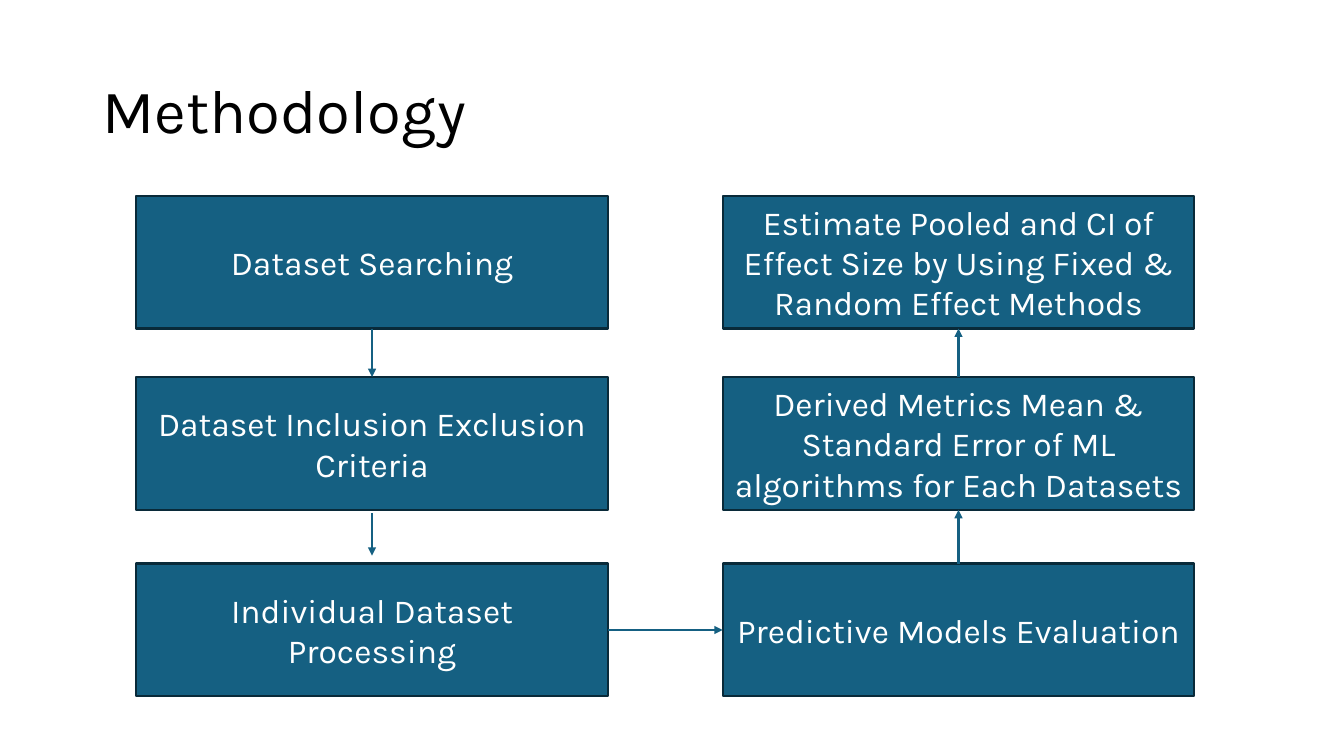
from lxml import etree
from pptx import Presentation
from pptx.dml.color import RGBColor
from pptx.enum import shapes, text
from pptx.oxml.ns import qn
from pptx.util import Cm, Pt

TITLE = "Methodology"
COLUMNS = [
    ["Dataset Searching",
     "Dataset Inclusion Exclusion Criteria",
     "Individual Dataset Processing"],
    ["Estimate Pooled and CI of Effect Size by Using Fixed & Random Effect Methods",
     "Derived Metrics Mean & Standard Error of ML algorithms for Each Datasets",
     "Predictive Models Evaluation"],
]
TOP, LEFT, BOTTOM, RIGHT = range(4)
# Each joined arrow: (column, row), side -> (column, row), side
JOINED_ARROWS = [
    ((0, 0), BOTTOM, (0, 1), TOP),
    ((0, 2), RIGHT, (1, 2), LEFT),
    ((1, 2), TOP, (1, 1), BOTTOM),
    ((1, 1), TOP, (1, 0), BOTTOM),
]
COLORS = {"step": "156082", "border": "092A39", "title": "000000", "label": "FFFFFF"}
FONT = "Karla"
COLUMN_LEFTS = [Cm(3.43), Cm(18.21)]
ROW_TOPS = [Cm(4.93), Cm(9.5), Cm(14.2)]
STEP_WIDTH, STEP_HEIGHT = Cm(11.89), Cm(3.35)
LOOSE_ARROW_Y = Cm(12.93), Cm(14)
LINE_WIDTH = Pt(1.5)


def color(name):
    return RGBColor.from_string(COLORS[name])


def write(shape, words, *, size, fill, align, spacing=1.0):
    frame = shape.text_frame
    frame.word_wrap = True
    frame.vertical_anchor = text.MSO_ANCHOR.MIDDLE
    para = frame.paragraphs[0]
    para.alignment = align
    para.line_spacing = spacing
    span = para.add_run()
    span.text = words
    span.font.name = FONT
    span.font.size = Pt(size)
    span.font.color.rgb = color(fill)


def add_step(page, words, left, top):
    box = page.shapes.add_shape(shapes.MSO_SHAPE.RECTANGLE, left, top, STEP_WIDTH, STEP_HEIGHT)
    box.shadow.inherit = False
    box.fill.solid()
    box.fill.fore_color.rgb = color("step")
    box.line.color.rgb = color("border")
    box.line.width = LINE_WIDTH
    write(box, words, size=24, fill="label", align=text.PP_ALIGN.CENTER)
    return box


def add_arrow(page, x1=0, y1=0, x2=0, y2=0):
    arrow = page.shapes.add_connector(shapes.MSO_CONNECTOR.STRAIGHT, x1, y1, x2, y2)
    arrow.line.color.rgb = color("step")
    arrow.line.width = LINE_WIDTH
    properties = arrow.element.spPr
    etree.SubElement(properties.find(qn("a:ln")), qn("a:tailEnd"), type="triangle")
    etree.SubElement(properties, qn("a:effectLst"))
    return arrow


def main():
    deck = Presentation()
    deck.slide_width, deck.slide_height = Cm(33.87), Cm(19.05)
    page = deck.slides.add_slide(deck.slide_layouts[6])

    title = page.shapes.add_textbox(Cm(2.34), Cm(1.02), Cm(29.21), Cm(3.68))
    write(title, TITLE, size=44, fill="title", align=text.PP_ALIGN.LEFT, spacing=0.9)

    steps = {}
    for column, labels in enumerate(COLUMNS):
        for row, label in enumerate(labels):
            steps[column, row] = add_step(page, label, COLUMN_LEFTS[column], ROW_TOPS[row])

    for start, start_side, end, end_side in JOINED_ARROWS:
        arrow = add_arrow(page)
        arrow.begin_connect(steps[start], start_side)
        arrow.end_connect(steps[end], end_side)

    # This arrow floats in the gap without touching either step
    middle = COLUMN_LEFTS[0] + STEP_WIDTH // 2
    add_arrow(page, middle, LOOSE_ARROW_Y[0], middle, LOOSE_ARROW_Y[1])

    deck.save("out.pptx")


if __name__ == "__main__":
    main()
